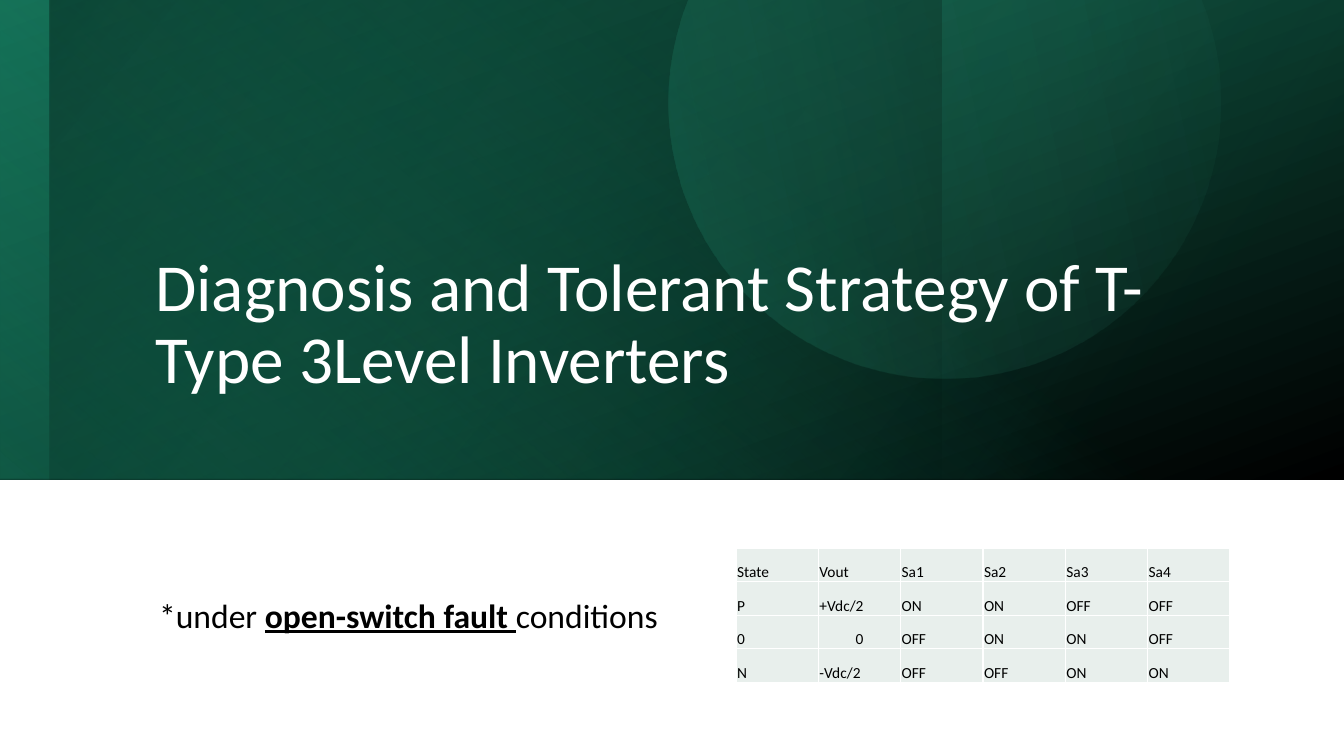
from dataclasses import dataclass
from math import asin, cos, pi, radians, sin

from pptx import Presentation
from pptx import util as u
from pptx.dml.color import RGBColor
from pptx.enum import shapes, text
from pptx.oxml import parse_xml
from pptx.oxml.ns import nsdecls, qn

HUE = {"pine": "16745A", "mint": "1D9A78", "deep": "0E4D3C", "pale": "5AE0BB",
       "black": "000000", "white": "FFFFFF", "cell": "E8EFEC"}
FONT = "Calibri"


@dataclass
class Stop:
    pos: int
    hue: str
    alpha: int = 100


@dataclass
class Panel:
    box: tuple[float, float, float, float]
    turn: float
    angle: int
    stops: list[Stop]


@dataclass
class Phrase:
    words: str
    fmt: dict


@dataclass
class Note:
    box: tuple[float, float, float, float]
    anchor: text.MSO_ANCHOR
    phrases: list[Phrase]
    size: int
    hue: str
    before: int = 0


PANELS = [
    Panel((0, -0.02, 13.33, 4.78), 180, 250, [Stop(0, "pine"), Stop(100, "black")]),
    Panel((4.27, -4.3, 4.78, 13.33), 90, 40, [Stop(40, "mint", 0), Stop(100, "pine", 52)]),
    Panel((4.52, -4.05, 4.78, 12.84), 90, 130, [Stop(17, "mint", 0), Stop(100, "black", 37)]),
    Panel((0, -0.02, 9.34, 4.78), 0, 310, [Stop(0, "deep", 0), Stop(100, "black", 25)]),
]
NOTES = [
    Note((1.44, 0.8, 10.99, 3.2), text.MSO_ANCHOR.BOTTOM,
         [Phrase("Diagnosis and Tolerant Strategy of T-Type 3Level Inverters", {})], 48, "white"),
    Note((1.48, 5.33, 10.94, 1.59), text.MSO_ANCHOR.MIDDLE,
         [Phrase("*under ", {}),
          Phrase("open-switch fault ", {"bold": True, "underline": True}),
          Phrase("conditions", {})], 24, "black", 10),
]
STATES = [
    ["State", "Vout", "Sa1", "Sa2", "Sa3", "Sa4"],
    ["P", "+Vdc/2", "ON", "ON", "OFF", "OFF"],
    ["0", "0", "OFF", "ON", "ON", "OFF"],
    ["N", "-Vdc/2", "OFF", "OFF", "ON", "ON"],
]


def rgb(hue: str) -> RGBColor:
    return RGBColor.from_string(HUE[hue])


def apply(item, fmt: dict) -> None:
    for name, value in fmt.items():
        setattr(item, name, value)


def style(run, size: int, hue: str, fmt: dict) -> None:
    apply(run.font, {"name": FONT, "size": u.Pt(size), **fmt})
    run.font.color.rgb = rgb(hue)


def shade(shape, angle: int, stops: list[Stop]) -> None:
    marks = "".join(
        f'<a:gs pos="{s.pos * 1000}"><a:srgbClr val="{HUE[s.hue]}">'
        f'<a:alpha val="{s.alpha * 1000}"/></a:srgbClr></a:gs>' for s in stops)
    grad = parse_xml(
        f'<a:gradFill {nsdecls("a")} rotWithShape="1"><a:gsLst>{marks}</a:gsLst>'
        f'<a:lin ang="{angle * 60000}" scaled="0"/></a:gradFill>')
    shape.shadow.inherit = False
    shape.line.fill.background()
    shape.fill.background()
    props = shape.element.spPr
    props.replace(props.find(qn("a:noFill")), grad)


def add_panel(slide, panel: Panel) -> None:
    shape = slide.shapes.add_shape(shapes.MSO_SHAPE.RECTANGLE, *map(u.Inches, panel.box))
    shape.rotation = panel.turn
    shade(shape, panel.angle, panel.stops)


def add_disc(slide) -> None:
    # Circle cut by the top edge, laid out before its turn about the pivot
    mid_x, mid_y, radius, turn = 9.37, 1.03, 2.74, 208.5
    pivot_x, pivot_y = 9.23, 1.3
    start = -asin(mid_y / radius)
    sweep, steps = pi - 2 * start, 120
    back = radians(-turn)
    points = []
    for i in range(steps + 1):
        a = start + sweep * i / steps
        dx = mid_x + radius * cos(a) - pivot_x
        dy = mid_y + radius * sin(a) - pivot_y
        points.append((u.Inches(pivot_x + dx * cos(back) - dy * sin(back)),
                       u.Inches(pivot_y + dx * sin(back) + dy * cos(back))))
    edge = slide.shapes.build_freeform(*points[0])
    edge.add_line_segments(points[1:], close=True)
    disc = edge.convert_to_shape()
    disc.rotation = turn
    shade(disc, 140, [Stop(0, "mint", 22), Stop(87, "pale", 2)])


def add_note(slide, note: Note) -> None:
    frame = slide.shapes.add_textbox(*map(u.Inches, note.box)).text_frame
    apply(frame, {"word_wrap": True, "vertical_anchor": note.anchor})
    para = frame.paragraphs[0]
    apply(para, {"line_spacing": 0.9, "space_before": u.Pt(note.before)})
    for phrase in note.phrases:
        run = para.add_run()
        run.text = phrase.words
        style(run, note.size, note.hue, phrase.fmt)


def add_edges(cell) -> None:
    props = cell._tc.get_or_add_tcPr()
    for i, side in enumerate("LRTB"):
        props.insert(i, parse_xml(
            f'<a:ln{side} {nsdecls("a")} w="12700"><a:solidFill>'
            f'<a:srgbClr val="{HUE["white"]}"/></a:solidFill></a:ln{side}>'))


def add_states(slide) -> None:
    rows, cols = len(STATES), len(STATES[0])
    box = map(u.Inches, (7.3, 5.44, 4.9, 1.33))
    table = slide.shapes.add_table(rows, cols, *box).table
    apply(table, {"first_row": False, "horz_banding": False})
    inset = u.Inches(0.01)
    for r, line in enumerate(STATES):
        for c, words in enumerate(line):
            cell = table.cell(r, c)
            apply(cell, {"margin_left": inset, "margin_right": inset, "margin_top": inset,
                         "margin_bottom": 0, "vertical_anchor": text.MSO_ANCHOR.BOTTOM})
            cell.fill.solid()
            cell.fill.fore_color.rgb = rgb("cell")
            add_edges(cell)
            run = cell.text_frame.paragraphs[0].add_run()
            run.text = words
            style(run, 11, "black", {})
    table.cell(2, 1).text_frame.paragraphs[0].alignment = text.PP_ALIGN.CENTER


def main() -> None:
    deck = Presentation()
    apply(deck, {"slide_width": u.Inches(13.33), "slide_height": u.Inches(7.5)})
    slide = deck.slides.add_slide(deck.slide_layouts[6])

    # Green banner
    for panel in PANELS:
        add_panel(slide, panel)
    add_disc(slide)

    # Title, subtitle and switching states
    for note in NOTES:
        add_note(slide, note)
    add_states(slide)
    deck.save("out.pptx")


if __name__ == "__main__":
    main()
